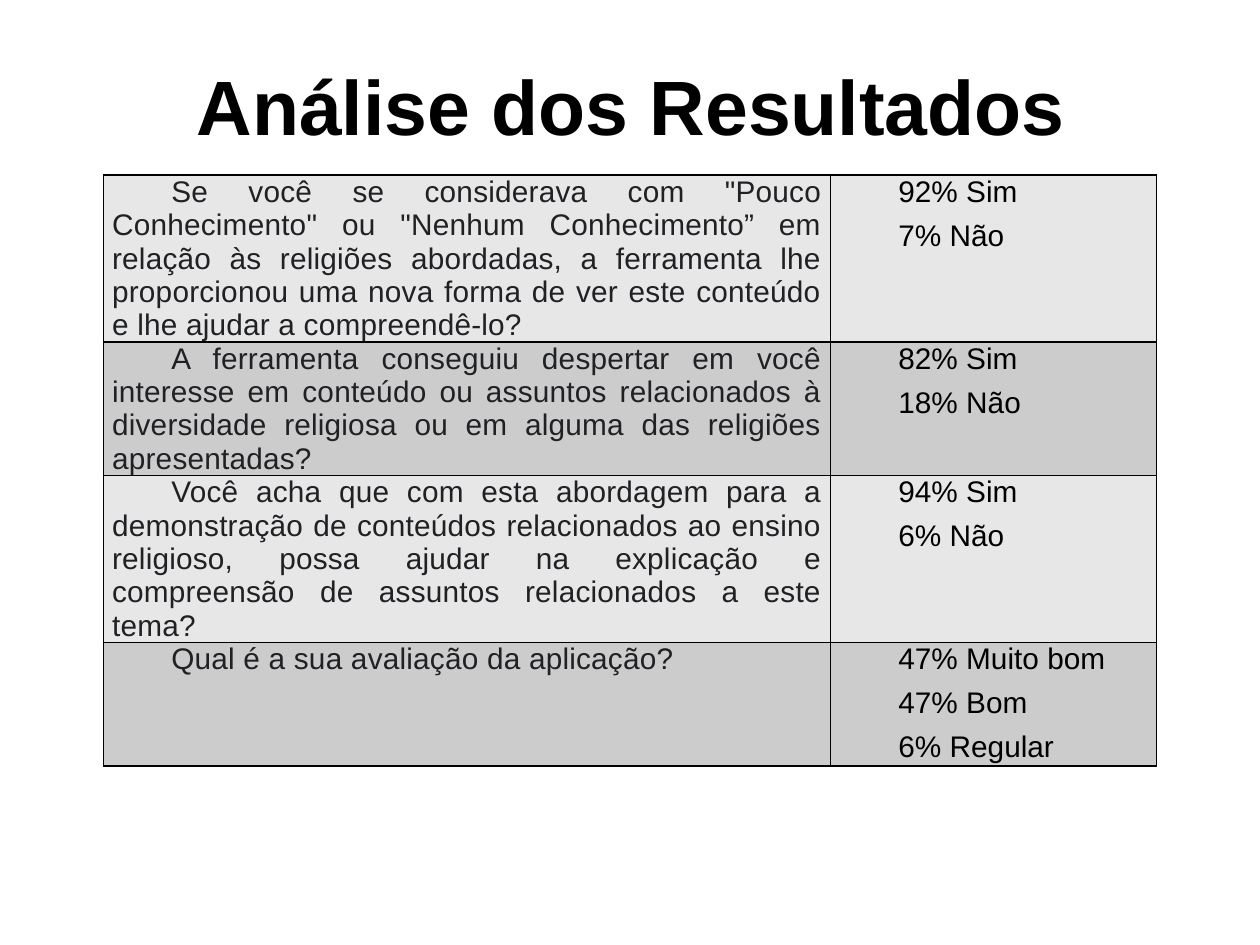
"""Build the survey results slide."""
import pptx
import pptx.dml.color
import pptx.enum.text
import pptx.oxml
import pptx.oxml.ns
import pptx.util

INCH = pptx.util.Inches
ALIGN = pptx.enum.text.PP_ALIGN
COLOURS = {"ink": "000000", "question": "202124", "light": "E7E7E7", "dark": "CCCCCC"}
COLUMNS = (5.77, 2.59)
ROWS = (1.1, 0.94, 1.1, 0.98)
CELL_FORMAT = {"margin_left": INCH(0.07), "margin_right": INCH(0.07),
               "margin_top": 0, "margin_bottom": 0}
RESULTS = [
    ("Se você se considerava com \"Pouco Conhecimento\" ou \"Nenhum Conhecimento” em "
     "relação às religiões abordadas, a ferramenta lhe proporcionou uma nova forma de "
     "ver este conteúdo e lhe ajudar a compreendê-lo?",
     ["92% Sim", "7% Não"]),
    ("A ferramenta conseguiu despertar em você interesse em conteúdo ou assuntos "
     "relacionados à diversidade religiosa ou em alguma das religiões apresentadas?",
     ["82% Sim", "18% Não"]),
    ("Você acha que com esta abordagem para a demonstração de conteúdos relacionados "
     "ao ensino religioso, possa ajudar na explicação e compreensão de assuntos "
     "relacionados a este tema?",
     ["94% Sim", "6% Não"]),
    ("Qual é a sua avaliação da aplicação?",
     ["47% Muito bom", "47% Bom", "6% Regular"]),
]


def colour(name):
    """Return the named colour."""
    return pptx.dml.color.RGBColor.from_string(COLOURS[name])


def apply(target, values):
    """Set each format value on the target."""
    for name, value in values.items():
        setattr(target, name, value)


def write(para, text, size, ink, align, bold=False):
    """Put one formatted span in a paragraph."""
    para.alignment = align
    span = para.add_run()
    span.text = text
    apply(span.font, {"name": "Arial", "size": pptx.util.Pt(size), "bold": bold})
    span.font.color.rgb = colour(ink)
    return span


def add_title(page, text):
    """Place and fill the title placeholder."""
    box = page.shapes.title
    apply(box, {"left": INCH(0.51), "top": INCH(0.21),
                "width": INCH(9), "height": INCH(1.25)})
    box.text_frame.vertical_anchor = pptx.enum.text.MSO_ANCHOR.MIDDLE
    write(box.text_frame.paragraphs[0], text, 44, "ink", ALIGN.CENTER, True)


def add_borders(cell):
    """Draw a thin line on all four sides of a cell."""
    properties = cell._tc.get_or_add_tcPr()
    for index, side in enumerate(("lnL", "lnR", "lnT", "lnB")):
        properties.insert(index, pptx.oxml.parse_xml(
            f'<a:{side} {pptx.oxml.ns.nsdecls("a")} w="12700"><a:solidFill>'
            f'<a:srgbClr val="{COLOURS["ink"]}"/></a:solidFill></a:{side}>'))


def fill_cell(cell, lines, ink, fill, spacing=0):
    """Write indented, justified lines in a bordered cell."""
    apply(cell, CELL_FORMAT)
    cell.fill.solid()
    cell.fill.fore_color.rgb = colour(fill)
    add_borders(cell)
    frame = cell.text_frame
    for index, line in enumerate(lines):
        para = frame.add_paragraph() if index else frame.paragraphs[0]
        para.space_before = pptx.util.Pt(6)
        span = write(para, line, 17, ink, ALIGN.JUSTIFY)
        span.font._element.set("spc", str(spacing))
        layout = para._p.get_or_add_pPr()
        layout.set("marL", "0")
        layout.set("indent", str(INCH(0.47)))


def add_results(page):
    """Add the table of questions and answers."""
    frame = page.shapes.add_table(len(ROWS), len(COLUMNS), INCH(0.82), INCH(1.39),
                                  INCH(sum(COLUMNS)), INCH(sum(ROWS)))
    table = frame.table
    apply(table, {"first_row": False, "horz_banding": False})
    for column, width in zip(table.columns, COLUMNS):
        column.width = INCH(width)
    for index, (question, answers) in enumerate(RESULTS):
        table.rows[index].height = INCH(ROWS[index])
        fill = ("light", "dark")[index % 2]
        fill_cell(table.cell(index, 0), [question], "question", fill, 10)
        fill_cell(table.cell(index, 1), answers, "ink", fill)


def main():
    """Build and save the deck."""
    deck = pptx.Presentation()
    apply(deck, {"slide_width": INCH(10), "slide_height": INCH(7.5)})
    page = deck.slides.add_slide(deck.slide_layouts.get_by_name("Title Only"))
    add_title(page, "Análise dos Resultados")
    add_results(page)
    deck.save("out.pptx")


if __name__ == "__main__":
    main()
